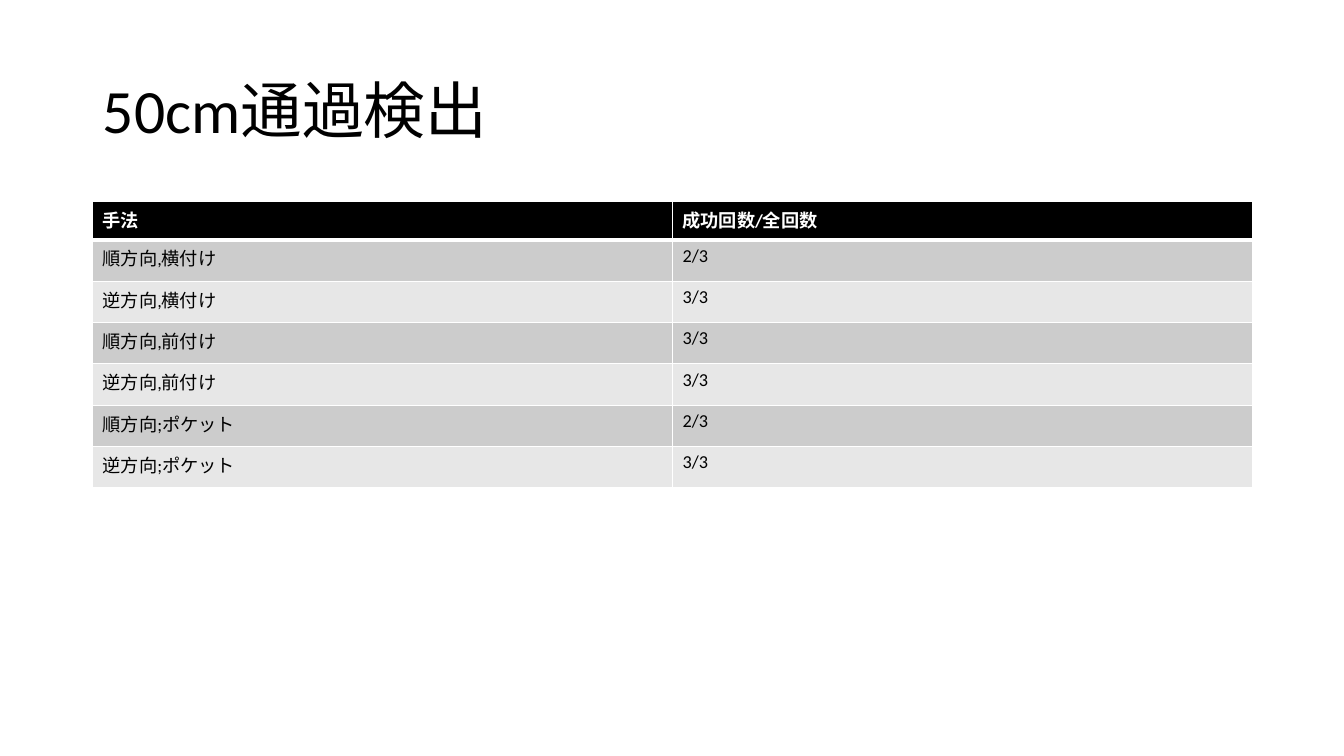
"""Build the 50cm passage detection results slide."""
from lxml import etree
from pptx import Presentation
from pptx import util as u
from pptx.dml.color import RGBColor
from pptx.enum import text
from pptx.oxml import ns

TITLE = "50cm通過検出"
ROWS = [
    ("手法", "成功回数/全回数"),
    ("順方向,横付け", "2/3"),
    ("逆方向,横付け", "3/3"),
    ("順方向,前付け", "3/3"),
    ("逆方向,前付け", "3/3"),
    ("順方向;ポケット", "2/3"),
    ("逆方向;ポケット", "3/3"),
]
THEME = {
    "font": "Calibri", "title_size": 44, "cell_size": 13,
    "ink": "000000", "paper": "FFFFFF", "bands": ("E7E7E7", "CCCCCC"),
    "rule": 1, "header_rule": 3,
}
LEFT, WIDTH = 0.92, 11.5
TITLE_TOP, TITLE_HEIGHT = 0.4, 1.45
TABLE_TOP, HEADER_HEIGHT, ROW_HEIGHT = 2, 0.38, 0.41


def write(tf, words, size, color, bold=False):
    p = tf.paragraphs[0]
    p.alignment = text.PP_ALIGN.LEFT
    r = p.add_run()
    r.text = words
    for name, value in {"name": THEME["font"], "size": u.Pt(size), "bold": bold}.items():
        setattr(r.font, name, value)
    r.font.color.rgb = RGBColor.from_string(color)
    return p


def add_borders(cell, widths):
    tcPr = cell._tc.get_or_add_tcPr()
    for i, (side, width) in enumerate(widths.items()):
        ln = etree.Element(ns.qn(f"a:ln{side}"), w=str(u.Pt(width)))
        fill = etree.SubElement(ln, ns.qn("a:solidFill"))
        etree.SubElement(fill, ns.qn("a:srgbClr"), val=THEME["paper"])
        tcPr.insert(i, ln)


def add_title(s):
    sp = s.shapes.title
    box = {"left": LEFT, "top": TITLE_TOP, "width": WIDTH, "height": TITLE_HEIGHT}
    for name, value in box.items():
        setattr(sp, name, u.Inches(value))
    tf = sp.text_frame
    formats = {"word_wrap": True, "auto_size": text.MSO_AUTO_SIZE.NONE,
               "vertical_anchor": text.MSO_ANCHOR.MIDDLE}
    for name, value in formats.items():
        setattr(tf, name, value)
    write(tf, TITLE, THEME["title_size"], THEME["ink"]).line_spacing = 0.9


def add_results(s):
    heights = [HEADER_HEIGHT] + [ROW_HEIGHT] * (len(ROWS) - 1)
    box = (LEFT, TABLE_TOP, WIDTH, sum(heights))
    table = s.shapes.add_table(len(ROWS), len(ROWS[0]), *map(u.Inches, box)).table
    for i, (row, height) in enumerate(zip(ROWS, heights)):
        table.rows[i].height = u.Inches(height)
        header = i == 0
        fill = THEME["ink"] if header else THEME["bands"][i % 2]
        color = THEME["paper"] if header else THEME["ink"]
        widths = dict.fromkeys("LRTB", THEME["rule"])
        if header:
            widths["B"] = THEME["header_rule"]
        elif i == 1:
            widths["T"] = THEME["header_rule"]
        for j, words in enumerate(row):
            cell = table.cell(i, j)
            cell.fill.solid()
            cell.fill.fore_color.rgb = RGBColor.from_string(fill)
            add_borders(cell, widths)
            write(cell.text_frame, words, THEME["cell_size"], color, header)


def main():
    prs = Presentation()
    prs.slide_width, prs.slide_height = u.Inches(13.33), u.Inches(7.5)
    s = prs.slides.add_slide(prs.slide_layouts[5])
    add_title(s)
    add_results(s)
    prs.save("out.pptx")


if __name__ == "__main__":
    main()
